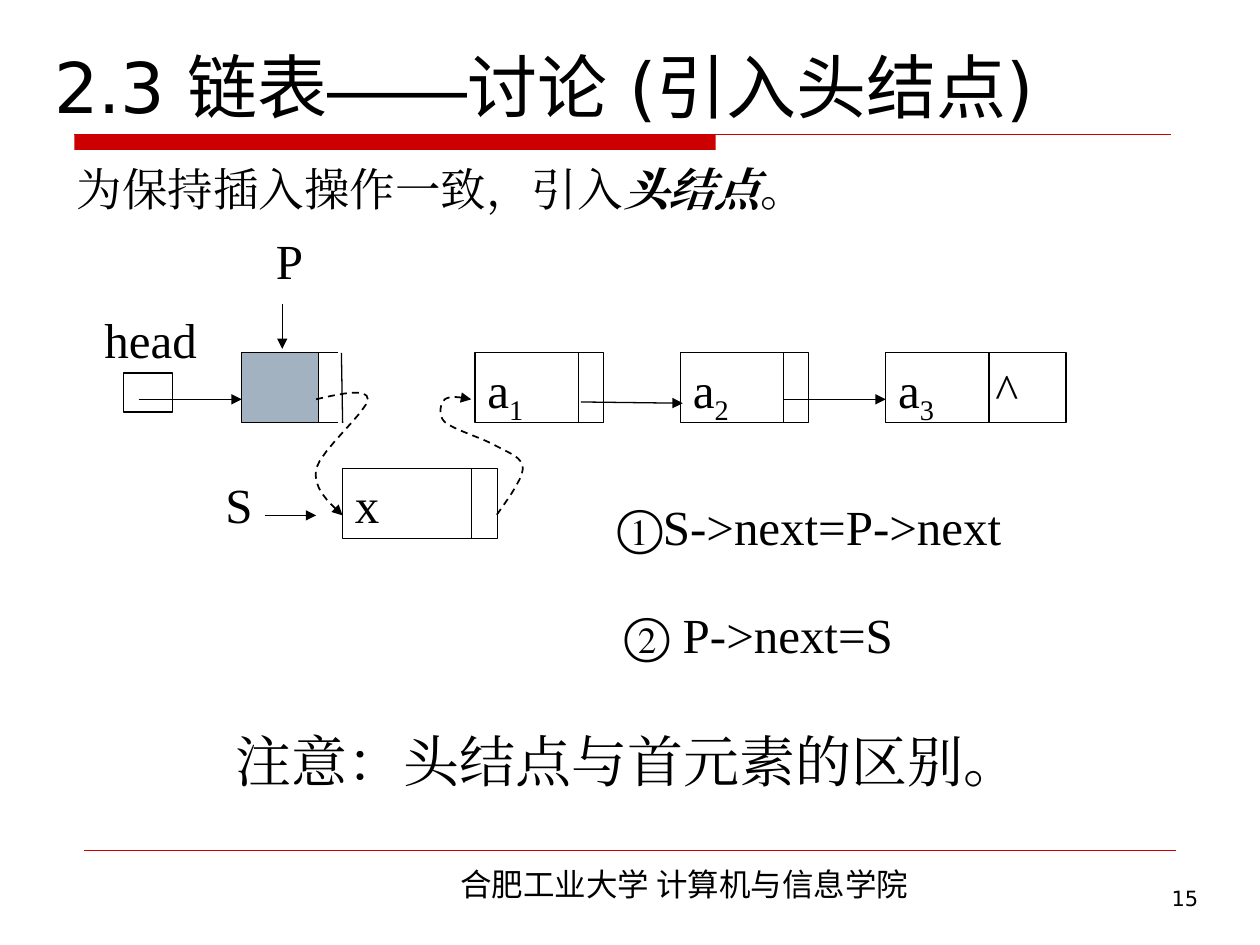
from lxml import etree
from pptx import Presentation
from pptx.dml.color import RGBColor
from pptx.enum.dml import MSO_LINE
from pptx.enum.shapes import MSO_CONNECTOR, MSO_SHAPE
from pptx.enum.text import MSO_ANCHOR, PP_ALIGN
from pptx.oxml.ns import qn
from pptx.util import Pt

LEFT, MID, RIGHT = PP_ALIGN.LEFT, PP_ALIGN.CENTER, PP_ALIGN.RIGHT
TOP, CENTER, BOTTOM = MSO_ANCHOR.TOP, MSO_ANCHOR.MIDDLE, MSO_ANCHOR.BOTTOM
RECT, LINE, DASH = MSO_SHAPE.RECTANGLE, MSO_CONNECTOR.STRAIGHT, MSO_LINE.DASH
SANS, SERIF, HAN, ARIAL = "DejaVu Sans", "Times New Roman", "Noto Sans CJK SC", "Arial"
COLORS = {"ink": "000000", "red": "CC0000", "node": "A3B2C1"}

ROW, HIGH, STEP, CELL = 201.6, 40, 117.4, 59
FIRST = 271.4
NODES = [("1", 73.4, ""), ("2", 73.4, ""), ("3", 103, "\t^")]
NEW = (195.8, 267.8, 88.6, HIGH)

TITLE = [("2.3 链表", {}), ("——", {"face": ARIAL}), ("讨论 (引入头结点)", {})]
BODY = [("为保持插入操作一致，引入", {}), ("头结点", {"bold": True, "slant": True}), ("。", {})]
TEXTS = [
    (TITLE, (23.8, 20.2, 648, 56.2), {"size": 40, "face": SANS, "anchor": BOTTOM}),
    (BODY, (36.7, 88.6, 648, 45.4), {"size": 26}),
    ("注意：头结点与首元素的区别。", (127.4, 411.1, 463, 46),
     {"size": 32, "anchor": CENTER, "wrap": False}),
    ("合肥工业大学 计算机与信息学院", (172.8, 491, 436.3, 28.8),
     {"size": 18, "face": HAN, "align": MID}),
    ("15", (535.7, 502.6, 156.2, 37.4), {"size": 12, "face": SANS, "align": RIGHT}),
    ("head", (52.6, 173.5, 75.6, 39.6), {}),
    ("S", (121.7, 267.8, 29.5, 39.6), {}),
    ("P", (150.5, 128.2, 29.5, 39.6), {}),
    ("①S->next=P->next", (345.6, 280.1, 256.3, 41), {"wrap": False}),
    ("② P->next=S", (349.9, 342, 180.7, 41), {"wrap": False}),
]
ARROWS = [
    (79.2, 228.2, 138.2, 228.2),
    (331.9, 229.7, 390.2, 230.4),
    (447.8, 228.2, 506.2, 228.2),
    (151.2, 294.5, 180.7, 294.5),
    (161.3, 173.5, 161.3, 199.4),
]
EDGES = [
    (195.1, ROW, 195.8, ROW + HIGH),
    (178.6, ROW, 193, ROW),
    (178.6, ROW + HIGH, 193, ROW + HIGH),
    (269.3, 267.8, 269.3, 307.8),
]
CURVES = [
    ("tailEnd", [(180.7, 228.2), (195.8, 224.6), (210.2, 221.8), (210.2, 228.2),
                 (210.2, 234.7), (183.6, 257), (180.7, 267.8),
                 (178.6, 278.6), (187.2, 286.6), (195.8, 294.5)]),
    ("headEnd", [(269.3, 228.2), (262.8, 226.8), (257, 226.1), (254.2, 228.2),
                 (252, 230.4), (249.8, 236.9), (254.2, 241.2),
                 (259.2, 245.5), (276.5, 250.6), (283.7, 254.9),
                 (291.6, 259.2), (298.8, 261.4), (298.8, 267.8),
                 (298.8, 274.3), (286.6, 290.2), (283.7, 294.5)]),
]


def rgb(name):
    return RGBColor.from_string(COLORS[name])


def pts(box):
    return [Pt(v) for v in box]


def write(shape, text, size=28, face=SERIF, align=LEFT, anchor=TOP, wrap=True, tab=None):
    frame = shape.text_frame
    frame.word_wrap, frame.vertical_anchor = wrap, anchor
    para = frame.paragraphs[0]
    para.alignment = align
    if tab:
        stops = etree.SubElement(para._p.get_or_add_pPr(), qn("a:tabLst"))
        etree.SubElement(stops, qn("a:tab"), pos=str(Pt(tab)), algn="l")
    for part, look in [(text, {})] if isinstance(text, str) else text:
        run = para.add_run()
        run.text = part
        font = run.font
        font.size, font.name = Pt(size), look.get("face", face)
        font.bold, font.italic = look.get("bold", False), look.get("slant", False)
        font.color.rgb = rgb("ink")
        etree.SubElement(run._r.rPr, qn("a:ea"), typeface=font.name)
        if look.get("sub"):
            run._r.rPr.set("baseline", "-25000")


def stroke(shape, color="ink", width=0.75, end=None):
    shape.line.color.rgb = rgb(color)
    shape.line.width = Pt(width)
    if end:
        etree.SubElement(shape.line._get_or_add_ln(), qn("a:" + end), type="triangle")


def rect(shapes, box, fill=None, line="ink"):
    shape = shapes.add_shape(RECT, *pts(box))
    shape.shadow.inherit = False
    if fill:
        shape.fill.solid()
        shape.fill.fore_color.rgb = rgb(fill)
    else:
        shape.fill.background()
    if line:
        stroke(shape, line)
    else:
        shape.line.fill.background()
    return shape


def link(shapes, ends, **look):
    line = shapes.add_connector(LINE, *pts(ends))
    stroke(line, **look)
    etree.SubElement(line._element.spPr, qn("a:effectLst"))


def trace(knots, steps=8):
    for i in range(0, len(knots) - 1, 3):
        a, b, c, d = knots[i:i + 4]
        for n in range(1, steps + 1):
            t = n / steps
            u = 1 - t
            yield tuple(u**3 * p + 3 * u * u * t * q + 3 * u * t * t * r + t**3 * s
                        for p, q, r, s in zip(a, b, c, d))


def curve(shapes, end, knots):
    form = shapes.build_freeform(*pts(knots[0]))
    form.add_line_segments([pts(p) for p in trace(knots)], close=False)
    shape = form.convert_to_shape()
    shape.shadow.inherit = False
    shape.fill.background()
    shape.line.dash_style = DASH
    stroke(shape, width=1, end=end)


def main():
    deck = Presentation()
    deck.slide_width, deck.slide_height = Pt(720), Pt(540)
    shapes = deck.slides.add_slide(deck.slide_layouts[6]).shapes

    rect(shapes, (42.5, 77, 366.5, 8.7), fill="red", line=None)
    link(shapes, (42.5, 77, 668.9, 77), color="red")
    link(shapes, (48.2, 486, 671.8, 486), color="red", width=0.25)

    rect(shapes, (138.2, ROW, 43.9, HIGH), fill="node")
    rect(shapes, (70.6, 213.1, 28.1, 22.3))
    for i, (sub, width, tail) in enumerate(NODES):
        left = FIRST + i * STEP
        parts = [("a", {}), (sub, {"sub": True})]
        if tail:
            parts.append((tail, {}))
        write(rect(shapes, (left, ROW, width, HIGH)), parts, tab=55.5 if tail else None)
        link(shapes, (left + CELL, ROW, left + CELL, ROW + HIGH))
    write(rect(shapes, NEW), "x")

    for ends in EDGES:
        link(shapes, ends)
    for ends in ARROWS:
        link(shapes, ends, end="tailEnd")
    for end, knots in CURVES:
        curve(shapes, end, knots)
    for text, box, look in TEXTS:
        write(shapes.add_textbox(*pts(box)), text, **look)

    deck.save("out.pptx")


if __name__ == "__main__":
    main()
